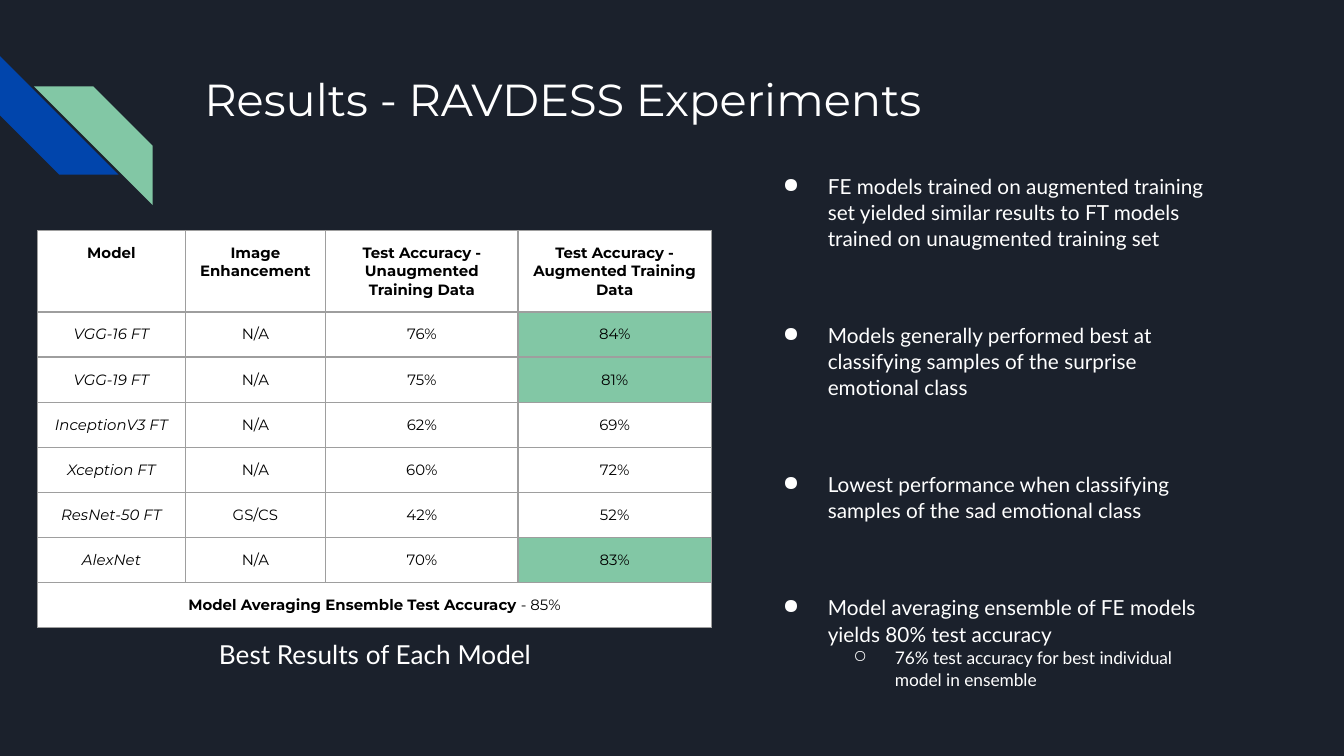
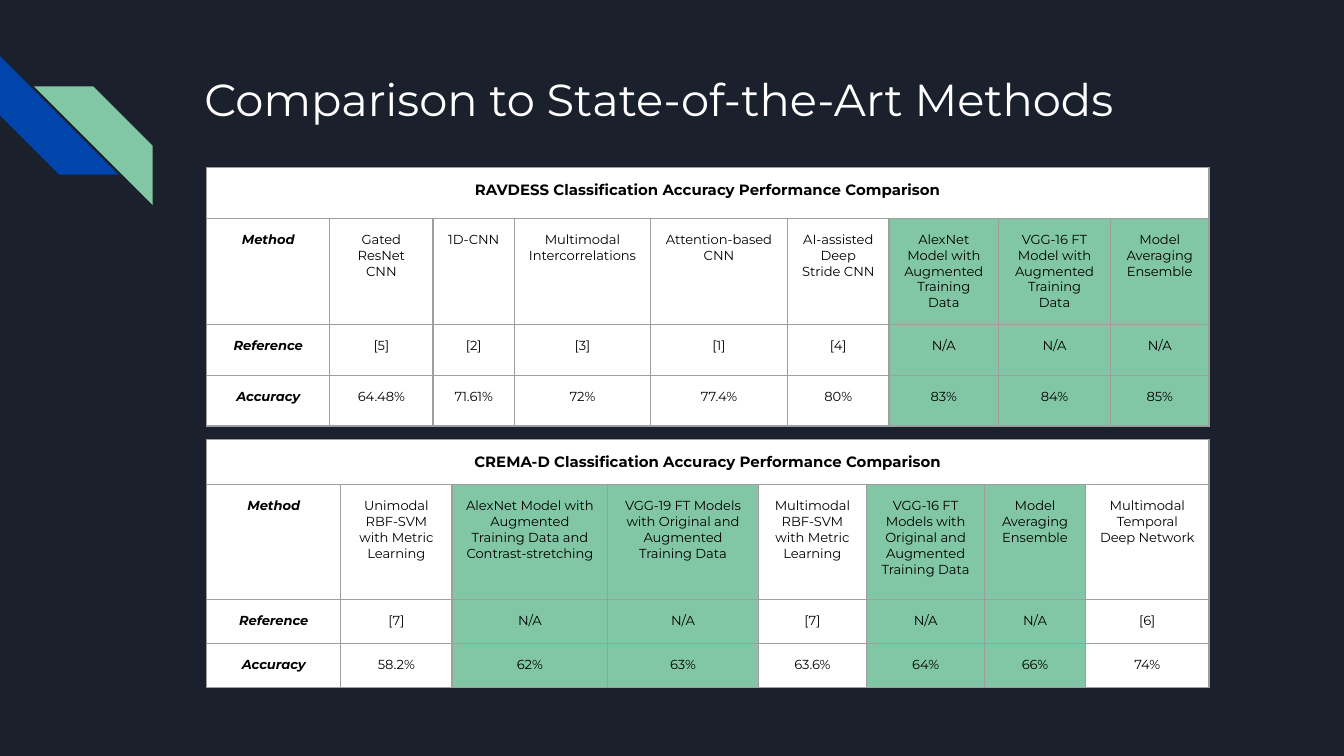
from dataclasses import dataclass
from itertools import product

from lxml.etree import SubElement
from pptx import Presentation
from pptx.dml.color import RGBColor
from pptx.enum.shapes import MSO_SHAPE as Kind
from pptx.enum.text import MSO_ANCHOR as Anchor, PP_ALIGN as Align
from pptx.oxml.ns import qn
from pptx.slide import Slide
from pptx.util import Pt

NAVY, BLUE, GREEN = "1B212C", "0145AC", "82C7A5"
WHITE, BLACK, GRAY = "FFFFFF", "000000", "9E9E9E"
HEAD, BODY = "Montserrat", "Lato"
PAD = Pt(7.2)


@dataclass(frozen=True)
class Stripe:
    left: float
    top: float
    color: str
    turn: int = 0
    flip: bool = False


@dataclass(frozen=True)
class Box:
    left: float
    top: float
    width: float
    height: float


@dataclass(frozen=True)
class Point:
    text: str
    gap: float = 38
    level: int = 0


@dataclass(frozen=True)
class Grid:
    left: float
    top: float
    widths: list[float]
    heights: list[float]
    rows: list[list[str]]
    green: set[tuple[int, int]]
    size: float = 7
    lead: bool = True


STRIPES = [
    Stripe(0, 30, BLUE, turn=270),
    Stripe(18.2, 46.3, GREEN, flip=True),
]
TITLE = Box(102.4, 31, 554.4, 72)
NOTES = Box(400.4, 85.2, 256.3, 300)
LABEL = Box(20.2, 335, 361.5, 31.5)
MARKS = [("●", 36, -24, 11.1), ("○", 72, -22.3, 9.3)]

POINTS = [
    Point("FE models trained on augmented training set yielded similar results "
          "to FT models trained on unaugmented training set", gap=0),
    Point("Models generally performed best at classifying samples of the "
          "surprise emotional class"),
    Point("Lowest performance when classifying samples of the sad emotional class"),
    Point("Model averaging ensemble of FE models yields 80% test accuracy"),
    Point("76% test accuracy for best individual model in ensemble", 0, 1),
]

BEST = Grid(
    20.2, 123.5, [79, 75.4, 103, 103.6], [43.6] + [24.2] * 7,
    [
        ["Model", "Image Enhancement", "Test Accuracy - Unaugmented Training Data",
         "Test Accuracy - Augmented Training Data"],
        ["VGG-16 FT", "N/A", "76%", "84%"],
        ["VGG-19 FT", "N/A", "75%", "81%"],
        ["InceptionV3 FT", "N/A", "62%", "69%"],
        ["Xception FT", "N/A", "60%", "72%"],
        ["ResNet-50 FT", "GS/CS", "42%", "52%"],
        ["AlexNet", "N/A", "70%", "83%"],
        ["Model Averaging Ensemble Test Accuracy| - 85%"],
    ],
    {(1, 3), (2, 3), (6, 3)}, size=8, lead=False,
)
RAVDESS = Grid(
    110.8, 89.6, [65.8, 55.4, 43.6, 72.9, 73.4, 54.4, 58.7, 60, 52.8],
    [27.3, 56.8, 27.3, 27.3],
    [
        ["RAVDESS Classification Accuracy Performance Comparison"],
        ["Method", "Gated ResNet CNN", "1D-CNN", "Multimodal Intercorrelations",
         "Attention-based CNN", "AI-assisted Deep Stride CNN",
         "AlexNet Model with Augmented Training Data",
         "VGG-16 FT Model with Augmented Training Data", "Model Averaging Ensemble"],
        ["Reference", "[5]", "[2]", "[3]", "[1]", "[4]", "N/A", "N/A", "N/A"],
        ["Accuracy", "64.48%", "71.61%", "72%", "77.4%", "80%", "83%", "84%", "85%"],
    ],
    set(product((1, 2, 3), (6, 7, 8))),
)
CREMA = Grid(
    110.8, 235.6, [71.7, 59.7, 83.4, 80.6, 58.1, 63.2, 54.1, 66.2],
    [24.2, 61.2, 23.6, 23.9],
    [
        ["CREMA-D Classification Accuracy Performance Comparison"],
        ["Method", "Unimodal RBF-SVM with Metric Learning",
         "AlexNet Model with Augmented Training Data and Contrast-stretching",
         "VGG-19 FT Models with Original and Augmented Training Data",
         "Multimodal RBF-SVM with Metric Learning",
         "VGG-16 FT Models with Original and Augmented Training Data",
         "Model Averaging Ensemble", "Multimodal Temporal Deep Network"],
        ["Reference", "[7]", "N/A", "N/A", "[7]", "N/A", "N/A", "[6]"],
        ["Accuracy", "58.2%", "62%", "63%", "63.6%", "64%", "66%", "74%"],
    ],
    set(product((1, 2, 3), (2, 3, 5, 6))),
)


def paint(fill, color: str) -> None:
    fill.solid()
    fill.fore_color.rgb = RGBColor.from_string(color)


def style(run, size: float, face: str, color: str,
          bold: bool = False, ital: bool = False) -> None:
    font = run.font
    font.size, font.name = Pt(size), face
    font.bold, font.italic = bold, ital
    font.color.rgb = RGBColor.from_string(color)


def pad(item) -> None:
    item.margin_left = item.margin_right = PAD
    item.margin_top = item.margin_bottom = PAD


def frame(slide: Slide, box: Box):
    shape = slide.shapes.add_textbox(
        Pt(box.left), Pt(box.top), Pt(box.width), Pt(box.height))
    text = shape.text_frame
    text.word_wrap = True
    text.vertical_anchor = Anchor.TOP
    pad(text)
    return text


def line(slide: Slide, box: Box, text: str, size: float, face: str,
         align: Align = Align.LEFT) -> None:
    para = frame(slide, box).paragraphs[0]
    para.text = text
    para.alignment = align
    style(para.runs[0], size, face, WHITE)


def stripe(slide: Slide, item: Stripe) -> None:
    shape = slide.shapes.add_shape(
        Kind.DIAGONAL_STRIPE, Pt(item.left), Pt(item.top), Pt(63.6), Pt(63.6))
    shape.adjustments[0] = 0.5
    shape.rotation = item.turn
    shape.shadow.inherit = False
    paint(shape.fill, item.color)
    shape.line.fill.background()
    if item.flip:
        shape._element.spPr.find(qn("a:xfrm")).set("flipH", "1")


def start(deck, title: str) -> Slide:
    slide = deck.slides.add_slide(deck.slide_layouts[6])
    paint(slide.background.fill, NAVY)
    for item in STRIPES:
        stripe(slide, item)
    line(slide, TITLE, title, 24, HEAD)
    return slide


def bullets(slide: Slide, points: list[Point]) -> None:
    text = frame(slide, NOTES)
    for num, point in enumerate(points):
        para = text.add_paragraph() if num else text.paragraphs[0]
        mark, left, hang, size = MARKS[point.level]
        para.text = point.text
        para.level = point.level
        para.line_spacing = 1.05
        para.space_before = Pt(point.gap)
        style(para.runs[0], size, BODY, WHITE)
        props = para._p.get_or_add_pPr()
        props.set("marL", str(Pt(left)))
        props.set("indent", str(Pt(hang)))
        tint = SubElement(props, qn("a:buClr"))
        SubElement(tint, qn("a:srgbClr"), val=WHITE)
        SubElement(props, qn("a:buChar"), char=mark)


def border(cell) -> None:
    props = cell._tc.get_or_add_tcPr()
    for side in "LRTB":
        edge = SubElement(props, qn(f"a:ln{side}"), w=str(Pt(0.75)))
        fill = SubElement(edge, qn("a:solidFill"))
        SubElement(fill, qn("a:srgbClr"), val=GRAY)


def table(slide: Slide, grid: Grid) -> None:
    body = slide.shapes.add_table(
        len(grid.heights), len(grid.widths), Pt(grid.left), Pt(grid.top),
        Pt(sum(grid.widths)), Pt(sum(grid.heights))).table
    body.first_row = body.horz_banding = False
    for col, width in zip(body.columns, grid.widths):
        col.width = Pt(width)
    for row, height in zip(body.rows, grid.heights):
        row.height = Pt(height)
    last = len(grid.widths) - 1
    for row, texts in enumerate(grid.rows):
        for col in range(last + 1):
            cell = body.cell(row, col)
            border(cell)
            pad(cell)
            paint(cell.fill, GREEN if (row, col) in grid.green else WHITE)
        wide = len(texts) == 1
        if wide:
            body.cell(row, 0).merge(body.cell(row, last))
        top = wide or row == 0
        for col, text in enumerate(texts):
            first, *rest = text.split("|")
            side = col == 0 and not top
            size = 8 if top else grid.size
            para = body.cell(row, col).text_frame.paragraphs[0]
            para.text = first
            para.alignment = Align.CENTER
            style(para.runs[0], size, HEAD, BLACK, top or side and grid.lead, side)
            for part in rest:
                run = para.add_run()
                run.text = part
                style(run, size, HEAD, BLACK)


def main() -> None:
    deck = Presentation()
    deck.slide_width, deck.slide_height = Pt(720), Pt(405)

    slide = start(deck, "Results - RAVDESS Experiments")
    bullets(slide, POINTS)
    table(slide, BEST)
    line(slide, LABEL, "Best Results of Each Model", 14, BODY, Align.CENTER)

    slide = start(deck, "Comparison to State-of-the-Art Methods")
    for grid in (RAVDESS, CREMA):
        table(slide, grid)

    deck.save("out.pptx")


if __name__ == "__main__":
    main()
